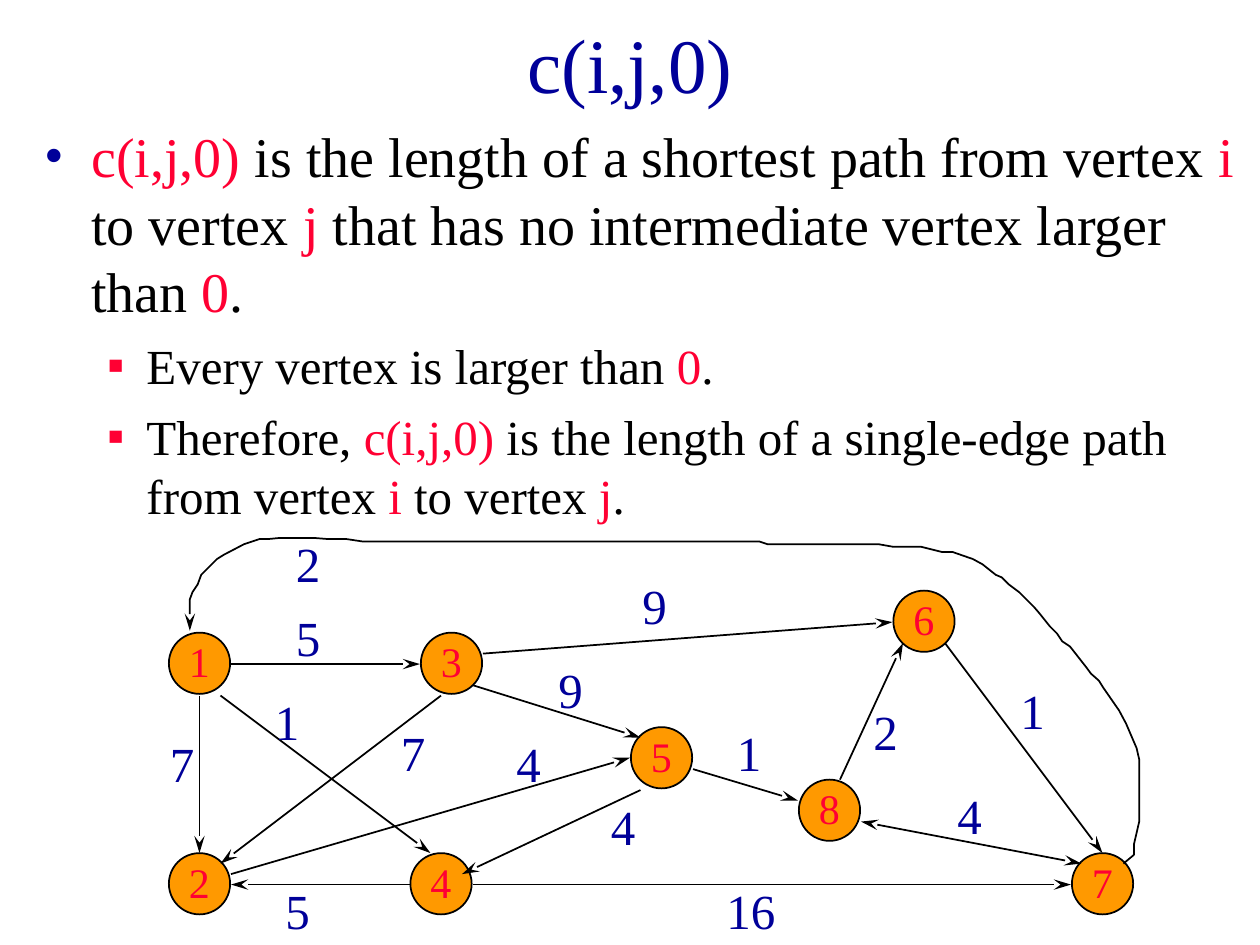
from dataclasses import dataclass

from lxml import etree
from pptx import Presentation
from pptx.dml.color import RGBColor
from pptx.enum.shapes import MSO_CONNECTOR, MSO_SHAPE
from pptx.enum.text import MSO_ANCHOR, MSO_AUTO_SIZE, PP_ALIGN
from pptx.oxml.ns import qn
from pptx.util import Pt

STRAIGHT = MSO_CONNECTOR.STRAIGHT
OVAL = MSO_SHAPE.OVAL
MIDDLE = MSO_ANCHOR.MIDDLE
CENTER = PP_ALIGN.CENTER
LEFT = PP_ALIGN.LEFT
NO_AUTOFIT = MSO_AUTO_SIZE.NONE


@dataclass(frozen=True)
class Theme:
    font: str = "Times New Roman"
    navy: str = "000099"
    red: str = "FF0033"
    orange: str = "FF9900"
    black: str = "000000"
    title_size: int = 44
    body_size: int = 32
    sub_size: int = 28
    label_size: int = 28
    node_size: int = 24
    line_width: int = 1


THEME = Theme()

TITLE = "c(i,j,0)"
BODY = [
    (0, "|c(i,j,0) |is the length of a shortest path from vertex |i |to vertex |j "
        "|that has no intermediate vertex larger than |0|."),
    (1, "Every vertex is larger than |0|."),
    (1, "Therefore,| c(i,j,0) |is the length of a single-edge path from vertex |i "
        "|to vertex |j|."),
]
LEVELS = [
    dict(size=THEME.body_size, bullet="•", bullet_color=THEME.navy, margin=27, hang=27, before=0),
    dict(size=THEME.sub_size, bullet="▪", bullet_color=THEME.red, margin=58.5, hang=22.5, before=7),
]

NODE_CELL = 36
NODES = {
    "1": (6, 60), "2": (6, 186), "3": (150, 60), "4": (144, 186),
    "5": (270, 114), "6": (420, 36), "7": (522, 186), "8": (366, 144),
}
EDGES = [
    ((24, 96), (24, 186)),
    ((144, 204), (42, 204)),
    ((42, 78), (150, 78)),
    ((36, 96), (156, 186)),
    ((162, 96), (36, 192)),
    ((180, 90), (276, 120)),
    ((42, 198), (270, 131.5)),
    ((276, 150), (174, 198)),
    ((180, 204), (522, 204)),
    ((306, 138), (366, 156)),
    ((186, 72), (420, 54)),
    ((450, 66), (540, 186)),
    ((390, 144), (426, 66)),
]
TWO_WAY_EDGES = [((402, 168), (528, 192))]
LABEL_HEIGHT = 41
LABELS = [
    ("5", 72, 42, 30), ("7", 0, 114, 30), ("1", 60, 90, 48), ("7", 132, 108, 30),
    ("9", 270, 24, 30), ("1", 324, 108, 48), ("9", 222, 72, 30), ("4", 198, 114, 30),
    ("4", 252, 150, 30), ("5", 66, 198, 30), ("16", 318, 198, 60), ("4", 450, 144, 30),
    ("2", 72, 0, 30), ("1", 486, 84, 30), ("2", 402, 96, 30),
]
RETURN_EDGE = [
    (552, 192), (558, 187), (558, 181), (561, 168), (561, 132.5), (559.5, 126),
    (556.5, 119), (553.5, 112), (549.5, 104.5), (540.5, 91.5), (538, 87.5),
    (533.5, 83.5), (530.5, 79.5), (521.5, 68), (517, 65), (514, 60.5), (510, 56.5),
    (504, 49), (501, 45.5), (492.5, 37), (486.5, 32.5), (482.5, 28.5), (479, 27),
    (471.5, 21), (466, 18), (454.5, 14), (448.5, 14), (436.5, 11), (420.5, 11),
    (412, 9.5), (348.5, 9.5), (344, 8), (117.5, 8), (107.5, 6.5), (96.5, 6.5),
    (90.5, 6), (69, 6), (64, 6.5), (58.5, 6.5), (54, 8), (49.5, 9.5), (38, 15.5),
    (34, 18), (25, 27), (23, 32.5), (20, 37), (18.5, 41), (18.5, 59),
]


def rgb(color):
    return RGBColor.from_string(color)


def style(span, size, color):
    span.font.name = THEME.font
    span.font.size = Pt(size)
    span.font.color.rgb = rgb(color)


def place(shape, box):
    shape.left, shape.top, shape.width, shape.height = (Pt(value) for value in box)


def outline(shape, *arrow_ends):
    shape.line.color.rgb = rgb(THEME.black)
    shape.line.width = Pt(THEME.line_width)
    for end in arrow_ends:
        line = shape.line._get_or_add_ln()
        etree.SubElement(line, qn(f"a:{end}"), type="stealth", w="med", len="lg")


def set_bullet(para, bullet, bullet_color, margin, hang):
    properties = para._p.get_or_add_pPr()
    properties.set("marL", str(Pt(margin)))
    properties.set("indent", str(-Pt(hang)))
    color = etree.SubElement(properties, qn("a:buClr"))
    etree.SubElement(color, qn("a:srgbClr"), val=bullet_color)
    etree.SubElement(properties, qn("a:buFont"), typeface=THEME.font)
    etree.SubElement(properties, qn("a:buChar"), char=bullet)


def add_title(page, box):
    title = page.shapes.title
    place(title, box)
    frame = title.text_frame
    frame.text = TITLE
    frame.auto_size = NO_AUTOFIT
    frame.vertical_anchor = MIDDLE
    para = frame.paragraphs[0]
    para.alignment = CENTER
    style(para.runs[0], THEME.title_size, THEME.navy)


def add_body(page, box):
    body = page.placeholders[1]
    place(body, box)
    frame = body.text_frame
    frame.auto_size = NO_AUTOFIT
    for index, (level, text) in enumerate(BODY):
        para = frame.add_paragraph() if index else frame.paragraphs[0]
        look = LEVELS[level]
        para.level = level
        set_bullet(para, look["bullet"], look["bullet_color"], look["margin"], look["hang"])
        para.space_before = Pt(look["before"])
        for position, piece in enumerate(text.split("|")):
            if piece:
                span = para.add_run()
                span.text = piece
                style(span, look["size"], THEME.red if position % 2 else THEME.black)


def add_node(shapes, name, left, top):
    node = shapes.add_shape(OVAL, Pt(left + 0.5), Pt(top), Pt(NODE_CELL - 1), Pt(NODE_CELL - 1))
    node.shadow.inherit = False
    node.fill.solid()
    node.fill.fore_color.rgb = rgb(THEME.orange)
    outline(node)
    frame = node.text_frame
    frame.text = name
    frame.word_wrap = False
    frame.vertical_anchor = MIDDLE
    frame.margin_bottom = Pt(6)
    frame.paragraphs[0].alignment = CENTER
    style(frame.paragraphs[0].runs[0], THEME.node_size, THEME.red)


def add_edge(shapes, start, end, *arrow_ends):
    edge = shapes.add_connector(STRAIGHT, *(Pt(value) for value in (*start, *end)))
    outline(edge, *arrow_ends)
    etree.SubElement(edge._element.spPr, qn("a:effectLst"))


def add_label(shapes, text, box):
    label = shapes.add_textbox(*(Pt(value) for value in box))
    frame = label.text_frame
    frame.word_wrap = True
    frame.text = text
    frame.paragraphs[0].alignment = LEFT
    style(frame.paragraphs[0].runs[0], THEME.label_size, THEME.navy)


def add_graph(page, left, top):
    shapes = page.shapes.add_group_shape().shapes

    def shift(point):
        return left + point[0], top + point[1]

    for name, corner in NODES.items():
        add_node(shapes, name, *shift(corner))
    for start, end in EDGES:
        add_edge(shapes, shift(start), shift(end), "tailEnd")
    for start, end in TWO_WAY_EDGES:
        add_edge(shapes, shift(start), shift(end), "headEnd", "tailEnd")

    points = [tuple(Pt(value) for value in shift(point)) for point in RETURN_EDGE]
    builder = shapes.build_freeform(*points[0])
    builder.add_line_segments(points[1:], close=False)
    curve = builder.convert_to_shape()
    curve.shadow.inherit = False
    curve.fill.background()
    outline(curve, "tailEnd")

    for text, x, y, width in LABELS:
        add_label(shapes, text, (*shift((x, y)), width, LABEL_HEIGHT))


def main():
    deck = Presentation()
    deck.slide_width, deck.slide_height = Pt(720), Pt(540)
    page = deck.slides.add_slide(deck.slide_layouts[1])
    add_title(page, (54, 12, 612, 48))
    add_body(page, (18, 66, 702, 240))
    add_graph(page, 90, 301.5)
    deck.save("out.pptx")


if __name__ == "__main__":
    main()
